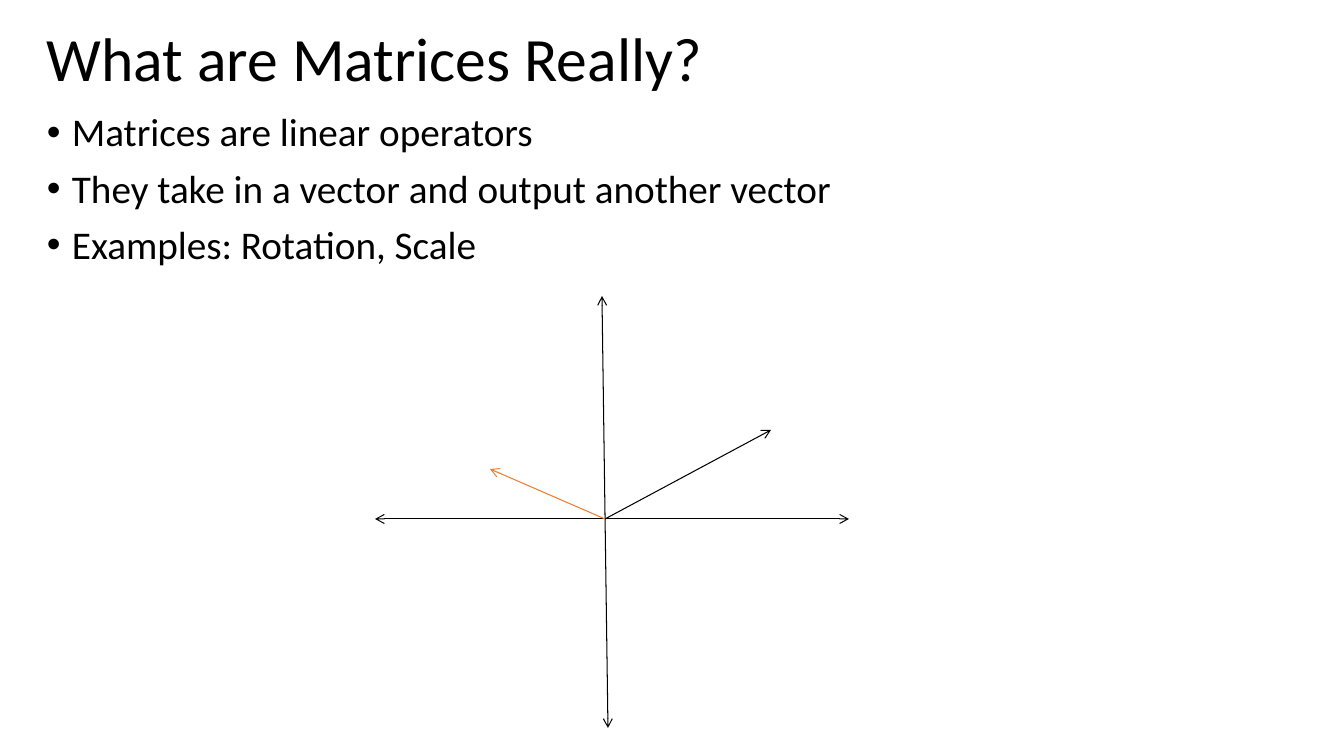
from lxml.etree import SubElement
from pptx import Presentation
from pptx.dml.color import RGBColor
from pptx.enum.shapes import MSO_CONNECTOR
from pptx.enum.text import MSO_ANCHOR
from pptx.oxml.ns import qn
from pptx.util import Pt

EMU_PER_PX = 914400 / 100.8
BLACK = RGBColor(0x00, 0x00, 0x00)
ORANGE = RGBColor(0xED, 0x7D, 0x31)
FONT = "Calibri"
BULLET_INDENT = 25


def px(length):
    return round(length * EMU_PER_PX)


def add_text_frame(slide, box, anchor):
    frame = slide.shapes.add_textbox(*map(px, box)).text_frame
    frame.word_wrap = True
    frame.vertical_anchor = anchor
    return frame


def write_line(paragraph, text, size):
    paragraph.line_spacing = 0.9
    run = paragraph.add_run()
    run.text = text
    run.font.name = FONT
    run.font.size = Pt(size)
    run.font.color.rgb = BLACK


def add_title(slide, box, text):
    frame = add_text_frame(slide, box, MSO_ANCHOR.MIDDLE)
    write_line(frame.paragraphs[0], text, 44)


def add_bullets(slide, box, points):
    frame = add_text_frame(slide, box, MSO_ANCHOR.TOP)
    for index, point in enumerate(points):
        paragraph = frame.add_paragraph() if index else frame.paragraphs[0]
        properties = paragraph._p.get_or_add_pPr()
        properties.set("marL", str(px(BULLET_INDENT)))
        properties.set("indent", str(-px(BULLET_INDENT)))
        SubElement(properties, qn("a:buFont"), typeface="Arial")
        SubElement(properties, qn("a:buChar"), char="•")
        if index:
            paragraph.space_before = Pt(10)
        write_line(paragraph, point, 28)


def add_arrow(slide, start, end, color, ends=("tailEnd",)):
    arrow = slide.shapes.add_connector(
        MSO_CONNECTOR.STRAIGHT, *map(px, (*start, *end)))
    arrow.line.color.rgb = color
    arrow.line.width = Pt(0.75)
    outline = arrow.line._get_or_add_ln()
    for name in ends:
        SubElement(outline, qn(f"a:{name}"), type="arrow")
    SubElement(arrow._element.spPr, qn("a:effectLst"))


def add_vector_plot(slide, box):
    left, top, width, height = box
    origin = (left + 230, top + 223)
    horizontal = ((left, origin[1]), (left + width, origin[1]))
    vertical = ((origin[0] - 3, top), (origin[0] + 3, top + height))
    for start, end in (horizontal, vertical):
        add_arrow(slide, start, end, BLACK, ("headEnd", "tailEnd"))

    input_vector, output_vector = (166, -89), (-115, -50)
    for (dx, dy), color in ((input_vector, BLACK), (output_vector, ORANGE)):
        add_arrow(slide, origin, (origin[0] + dx, origin[1] + dy), color)


def main():
    presentation = Presentation()
    presentation.slide_width = px(1344)
    presentation.slide_height = px(756)
    slide = presentation.slides.add_slide(presentation.slide_layouts[6])
    add_title(slide, (37, -11, 1159, 146), "What are Matrices Really?")
    add_bullets(slide, (37, 108, 1159, 480), (
        "Matrices are linear operators",
        "They take in a vector and output another vector",
        "Examples: Rotation, Scale",
    ))
    add_vector_plot(slide, (375, 296, 474, 432))
    presentation.save("out.pptx")


if __name__ == "__main__":
    main()
